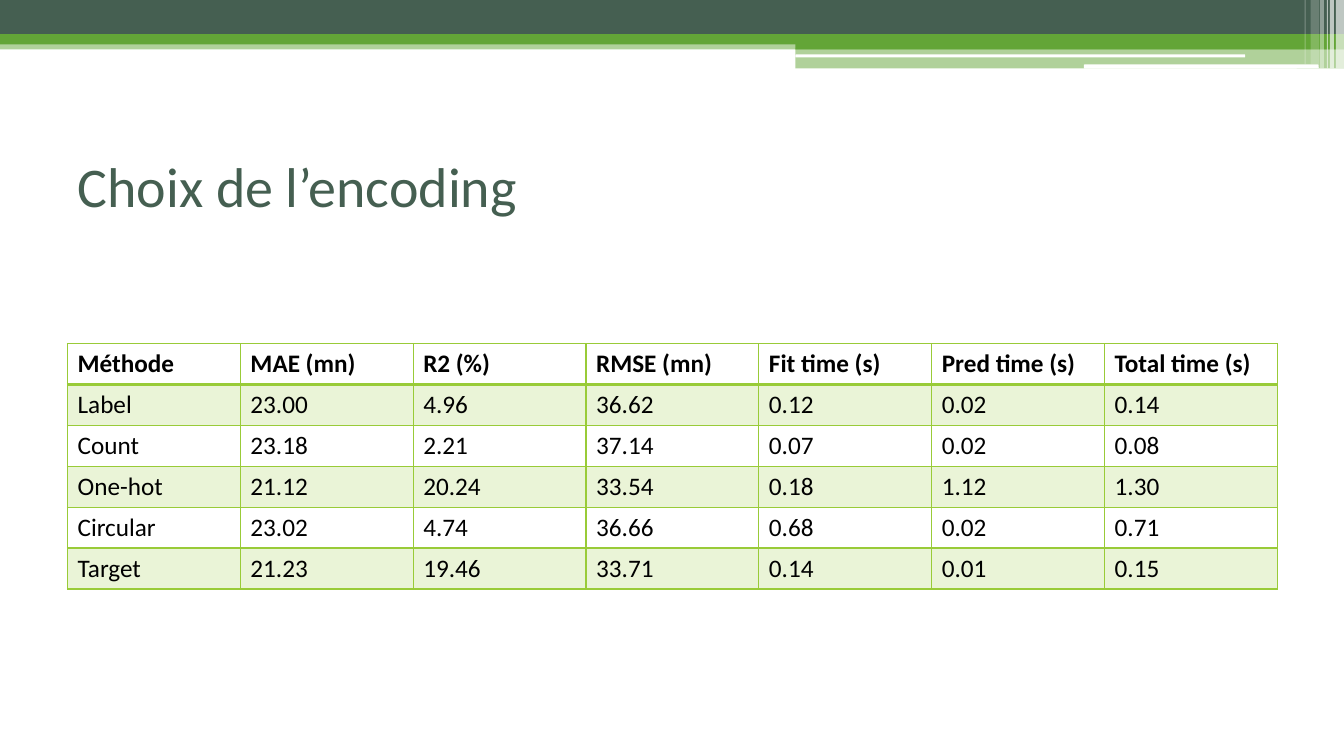
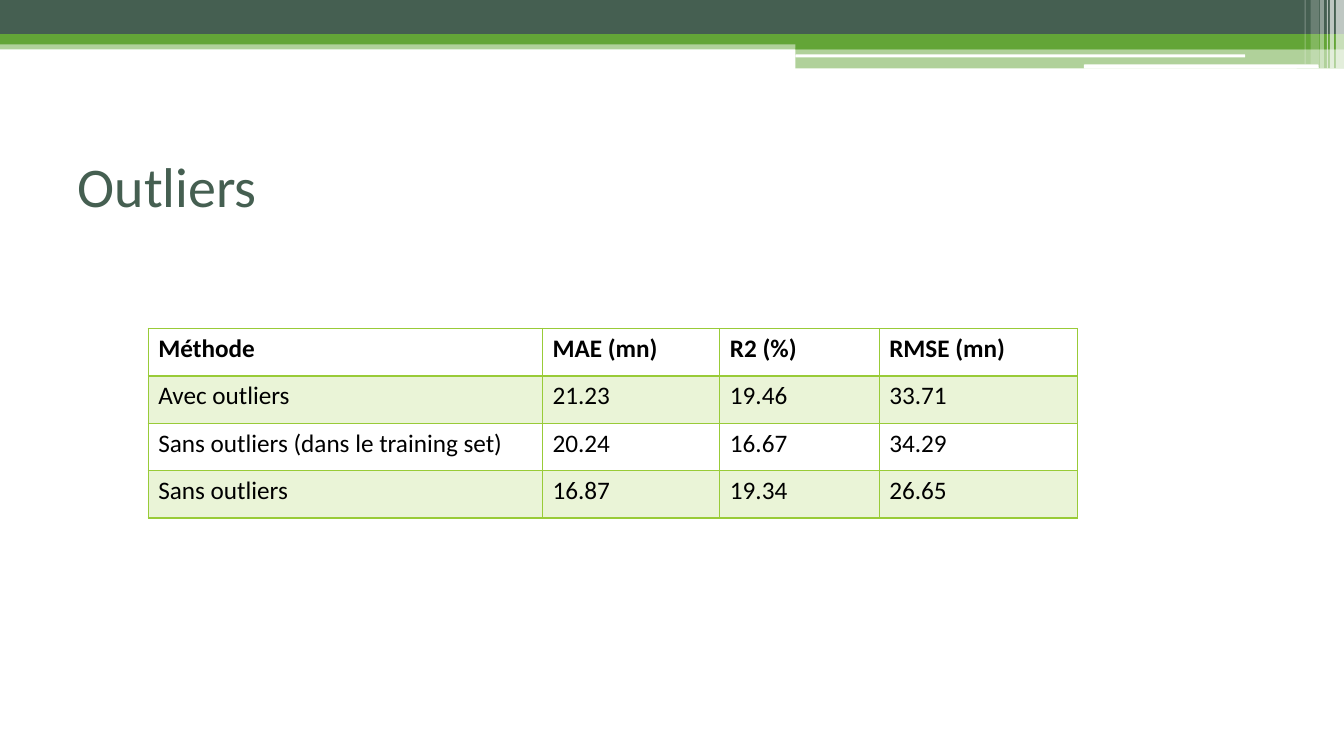
import pptx
import pptx.util
import pptx.dml.color
import pptx.enum.shapes
import pptx.enum.text
import pptx.oxml
import pptx.oxml.ns

WIDE, HIGH = 13.33, 7.5
FONT = "Calibri"
HUES = {"dark": "455F51", "green": "63A537", "lime": "99CB38",
        "white": "FFFFFF", "black": "000000"}

# Content: title, table corner, column widths, row height, rows
PAGES = [
    {"title": "Choix de l’encoding", "spot": (0.67, 3.41),
     "cols": [12 / 7] * 7, "row": 0.405,
     "rows": [
         ("Méthode", "MAE (mn)", "R2 (%)", "RMSE (mn)",
          "Fit time (s)", "Pred time (s)", "Total time (s)"),
         ("Label", "23.00", "4.96", "36.62", "0.12", "0.02", "0.14"),
         ("Count", "23.18", "2.21", "37.14", "0.07", "0.02", "0.08"),
         ("One-hot", "21.12", "20.24", "33.54", "0.18", "1.12", "1.30"),
         ("Circular", "23.02", "4.74", "36.66", "0.68", "0.02", "0.71"),
         ("Target", "21.23", "19.46", "33.71", "0.14", "0.01", "0.15")]},
    {"title": "Outliers", "spot": (1.47, 3.26),
     "cols": [3.91, 1.76, 1.58, 1.97], "row": 0.47,
     "rows": [
         ("Méthode", "MAE (mn)", "R2 (%)", "RMSE (mn)"),
         ("Avec outliers", "21.23", "19.46", "33.71"),
         ("Sans outliers (dans le training set)", "20.24", "16.67", "34.29"),
         ("Sans outliers", "16.87", "19.34", "26.65")]},
]

# Header art, back to front: left, top, width, height, colour, opacity, round
MID = 7.89
BANDS = [
    (0, 0.4, WIDE, 0.09, "green", 50, False),
    (0, 0, WIDE, 0.34, "dark", 100, False),
    (0, 0.34, WIDE, 0.1, "green", 100, False),
    (MID, 0.39, WIDE - MID, 0.1, "green", 100, False),
    (MID, 0.48, WIDE - MID, 0.2, "green", 50, False),
    (MID, 0.54, 4.46, 0.03, "white", 100, True),
    (10.75, 0.64, 2.33, 0.04, "white", 100, True),
]
# Pale stripes at the right edge: left, width, height, opacity
STRIPES = [(13.25, 0.08, 0.68, 65), (13.19, 0.04, 0.68, 65),
           (13.16, 0.01, 0.68, 60), (13.09, 0.04, 0.68, 40),
           (13, 0.08, 0.64, 20), (12.94, 0.01, 0.64, 30)]
BANDS += [(x, 0, w, h, "white", a, False) for x, w, h, a in STRIPES]


def inch(*sizes):
    return [pptx.util.Inches(s) for s in sizes]


def shade(fill, hue, alpha=100):
    fill.solid()
    fill.fore_color.rgb = pptx.dml.color.RGBColor.from_string(HUES[hue])
    if alpha < 100:
        for tint in fill._xPr.iter(pptx.oxml.ns.qn("a:srgbClr")):
            node = pptx.oxml.parse_xml(
                f'<a:alpha {pptx.oxml.ns.nsdecls("a")} val="{alpha * 1000}"/>')
            tint.append(node)


def write(frame, text, size, hue, bold=False):
    par = frame.paragraphs[0]
    par.alignment = pptx.enum.text.PP_ALIGN.LEFT
    run = par.add_run()
    run.text = text
    run.font.name, run.font.size = FONT, pptx.util.Pt(size)
    run.font.bold = bold
    run.font.color.rgb = pptx.dml.color.RGBColor.from_string(HUES[hue])


def edge(cell, tops, bots):
    """Line the four sides; the top and bottom widths are in points."""
    sides = (("L", 1), ("R", 1), ("T", tops), ("B", bots))
    for spot, (side, width) in enumerate(sides):
        line = pptx.oxml.parse_xml(
            f'<a:ln{side} {pptx.oxml.ns.nsdecls("a")} w="{pptx.util.Pt(width)}">'
            f'<a:solidFill><a:srgbClr val="{HUES["lime"]}"/></a:solidFill>'
            f'</a:ln{side}>')
        cell._tc.get_or_add_tcPr().insert(spot, line)


def dress(slide, layout):
    """Draw the header once and hand it to the layout, behind its title."""
    kinds = pptx.enum.shapes.MSO_SHAPE
    for spot, (x, y, w, h, hue, alpha, soft) in enumerate(BANDS):
        kind = kinds.ROUNDED_RECTANGLE if soft else kinds.RECTANGLE
        band = slide.shapes.add_shape(kind, *inch(x, y, w, h))
        band.shadow.inherit = False
        band.line.fill.background()
        shade(band.fill, hue, alpha)
        layout.shapes.element.insert(2 + spot, band.element)


def grid(slide, page):
    rows, cols = page["rows"], page["cols"]
    size = inch(*page["spot"], sum(cols), page["row"] * len(rows))
    table = slide.shapes.add_table(len(rows), len(cols), *size).table
    table.first_row = table.horz_banding = False
    for col, width in zip(table.columns, inch(*cols)):
        col.width = width
    for r, row in enumerate(rows):
        table.rows[r].height = pptx.util.Inches(page["row"])
        for c, text in enumerate(row):
            cell = table.cell(r, c)
            write(cell.text_frame, text, 18, "black", r == 0)
            if r % 2:
                shade(cell.fill, "lime", 20)
            else:
                cell.fill.background()
            edge(cell, 2 if r == 1 else 1, 2 if r == 0 else 1)


def main():
    deck = pptx.Presentation()
    deck.slide_width, deck.slide_height = inch(WIDE, HIGH)
    layout = deck.slide_layouts.get_by_name("Title Only")
    # Keep only the title on the layout
    for hold in list(layout.placeholders)[1:]:
        hold.element.getparent().remove(hold.element)
    for n, page in enumerate(PAGES):
        slide = deck.slides.add_slide(layout)
        if n == 0:
            dress(slide, layout)
        title = slide.shapes.title
        title.left, title.top, title.width, title.height = inch(
            0.67, 1.25, 12, 1.17)
        title.text_frame.vertical_anchor = pptx.enum.text.MSO_ANCHOR.MIDDLE
        write(title.text_frame, page["title"], 40, "dark")
        grid(slide, page)
    deck.save("out.pptx")


if __name__ == "__main__":
    main()
